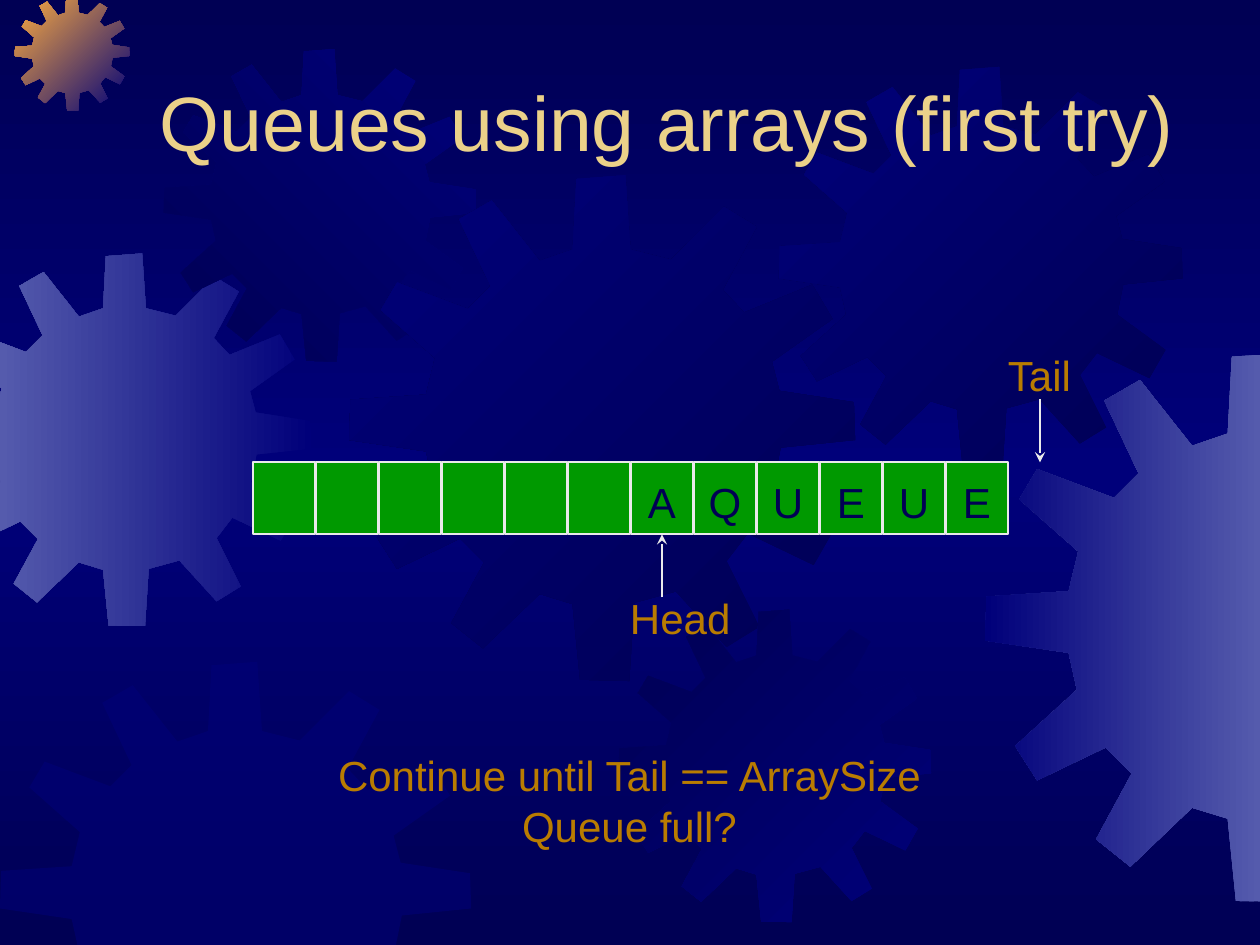
from copy import deepcopy
from lxml import etree
from pptx import Presentation
from pptx import util as u
from pptx.dml.color import RGBColor
from pptx.enum import shapes, text
from pptx.oxml import ns

NAVY = RGBColor(0x00, 0x00, 0x54)
BLUE = RGBColor(0x00, 0x00, 0x7A)
HAZE = RGBColor(0x55, 0x5B, 0xAD)
AMBER = RGBColor(0xFC, 0xAB, 0x40)
CREAM = RGBColor(0xEB, 0xD1, 0x89)
OCHRE = RGBColor(0xB9, 0x7C, 0x01)
GREEN = RGBColor(0x00, 0x99, 0x00)
PALE = RGBColor(0xEA, 0xEA, 0xEA)

WIDE, HIGH = 25.4, 19.05
TITLE = ("Queues using arrays (first try)", 2.97, 0.84, 21.59, 3.18)
QUEUE = ["", "", "", "", "", "", "A", "Q", "U", "E", "U", "E"]
HEAD = 6
LABELS = [
    (["Head"], 12.45, 11.81, 2.54, 1.27, text.PP_ALIGN.LEFT),
    (["Tail"], 20.07, 6.93, 1.88, 1.27, text.PP_ALIGN.LEFT),
    (["Continue until Tail == ArraySize", "Queue full?"],
     6.48, 14.99, 12.42, 2.29, text.PP_ALIGN.CENTER),
]
GEARS = [
    (-1.24, 5.11, 7.52, BLUE, HAZE, 180),
    (0.3, -0.08, 2.31, BLUE, AMBER, 135),
    (3.3, 0.99, 6.3, BLUE, NAVY, 225),
    (7.04, 3.53, 10.2, NAVY, BLUE, 135),
    (0, 13.34, 9.5, BLUE, None, 0),
    (12.47, 12.29, 6.3, BLUE, NAVY, 135),
    (15.7, 1.35, 8.14, NAVY, BLUE, 135),
    (19.86, 7.11, 11.08, HAZE, BLUE, 180),
]
SPAN = 401
TEETH = [
    (255, 67), (223, 59), (219, 0), (180, 3), (177, 59), (151, 68),
    (113, 20), (87, 35), (112, 88), (94, 106), (38, 85), (25, 107),
    (68, 145), (61, 174), (1, 178), (0, 210), (61, 219), (67, 246),
    (22, 287), (38, 312), (88, 288), (107, 307), (81, 355), (106, 375),
    (151, 332), (177, 340), (183, 400), (222, 401), (226, 339), (259, 330),
    (299, 374), (325, 358), (299, 306), (316, 284), (368, 309), (384, 281),
    (336, 246), (342, 216), (401, 210), (400, 180), (341, 171), (335, 148),
    (383, 114), (367, 87), (313, 109), (296, 91), (323, 41), (297, 25),
]
PLAIN = {"name": "Arial", "size": u.Pt(24), "bold": False}
CELL_X, CELL_Y, CELL_W, CELL_H, STEP = 5.1, 9.32, 1.25, 1.45, 1.27
ARROW = 1.27


def style(font, hue, **extra):
    for key, val in {**PLAIN, **extra}.items():
        setattr(font, key, val)
    font.color.rgb = hue


def blend(fill, first, last, angle):
    fill.gradient()
    fill.gradient_angle = angle
    for stop, hue in zip(fill.gradient_stops, (first, last)):
        stop.color.rgb = hue


def clip(dots, axis, edge, side):
    kept = []
    for a, b in zip(dots, dots[1:] + dots[:1]):
        da, db = (side * (p[axis] - edge) for p in (a, b))
        if da >= 0:
            kept.append(a)
        if da * db < 0:
            t = da / (da - db)
            kept.append(tuple(m + t * (n - m) for m, n in zip(a, b)))
    return kept


def gear(slide, left, top, size, first, last, angle):
    unit = size / SPAN
    dots = [(left + x * unit, top + y * unit) for x, y in TEETH]
    for axis, edge, side in ((0, 0, 1), (0, WIDE, -1), (1, 0, 1), (1, HIGH, -1)):
        dots = clip(dots, axis, edge, side)
    dots = [(u.Cm(x), u.Cm(y)) for x, y in dots]
    pen = slide.shapes.build_freeform(*dots[0], scale=1.0)
    pen.add_line_segments(dots[1:], close=True)
    shape = pen.convert_to_shape()
    shape.shadow.inherit = False
    shape.line.fill.background()
    if last is not None:
        blend(shape.fill, first, last, angle)
    else:
        shape.fill.solid()
        shape.fill.fore_color.rgb = first
        tint = shape._element.spPr.find(".//" + ns.qn("a:srgbClr"))
        etree.SubElement(tint, ns.qn("a:alpha"), val="50000")


def cell(slide, num, word):
    box = slide.shapes.add_shape(
        shapes.MSO_SHAPE.RECTANGLE, u.Cm(CELL_X + num * STEP), u.Cm(CELL_Y),
        u.Cm(CELL_W), u.Cm(CELL_H))
    box.shadow.inherit = False
    box.fill.solid()
    box.fill.fore_color.rgb = GREEN
    box.line.color.rgb = PALE
    box.line.width = u.Pt(1)
    if word:
        frame = box.text_frame
        for key, val in {"word_wrap": False, "margin_top": u.Cm(0.25),
                         "margin_bottom": u.Cm(0.13)}.items():
            setattr(frame, key, val)
        frame.text = word
        frame.paragraphs[0].alignment = text.PP_ALIGN.CENTER
        style(frame.paragraphs[0].font, NAVY)
    return box


def label(slide, lines, left, top, width, height, align):
    box = slide.shapes.add_textbox(*map(u.Cm, (left, top, width, height)))
    frame = box.text_frame
    frame.word_wrap = False
    frame.text = "\n".join(lines)
    for para in frame.paragraphs:
        para.alignment = align
        style(para.font, OCHRE)


def arrow(slide, x, start, end):
    line = slide.shapes.add_connector(
        shapes.MSO_CONNECTOR.STRAIGHT, *map(u.Cm, (x, start, x, end)))
    line.line.color.rgb = PALE
    line.line.width = u.Pt(1)
    etree.SubElement(line.line._get_or_add_ln(), ns.qn("a:tailEnd"), type="stealth")
    etree.SubElement(line._element.spPr, ns.qn("a:effectLst"))
    return line


def main():
    deck = Presentation()
    deck.slide_width, deck.slide_height = u.Cm(WIDE), u.Cm(HIGH)
    slide = deck.slides.add_slide(deck.slide_layouts[5])

    back = slide.background.fill
    blend(back, NAVY, NAVY, 270)
    stops = slide._element.find(".//" + ns.qn("a:gsLst"))
    mid = deepcopy(stops[0])
    mid.set("pos", "50000")
    mid[0].set("val", str(BLUE))
    stops.insert(1, mid)

    for item in GEARS:
        gear(slide, *item)

    title = slide.shapes.title
    slide.shapes._spTree.append(title._element)
    words, *place = TITLE
    for key, val in zip(("left", "top", "width", "height"), place):
        setattr(title, key, u.Cm(val))
    frame = title.text_frame
    frame.text = words
    frame.vertical_anchor = text.MSO_ANCHOR.MIDDLE
    frame.paragraphs[0].alignment = text.PP_ALIGN.LEFT
    style(frame.paragraphs[0].font, CREAM, size=u.Pt(44))

    cells = [cell(slide, num, word) for num, word in enumerate(QUEUE)]
    for item in LABELS:
        label(slide, *item)

    def centre(num):
        return CELL_X + num * STEP + CELL_W / 2

    base = CELL_Y + CELL_H
    arrow(slide, centre(len(QUEUE)), CELL_Y - ARROW, CELL_Y)
    arrow(slide, centre(HEAD), base + ARROW, base).end_connect(cells[HEAD], 2)
    deck.save("out.pptx")


if __name__ == "__main__":
    main()
